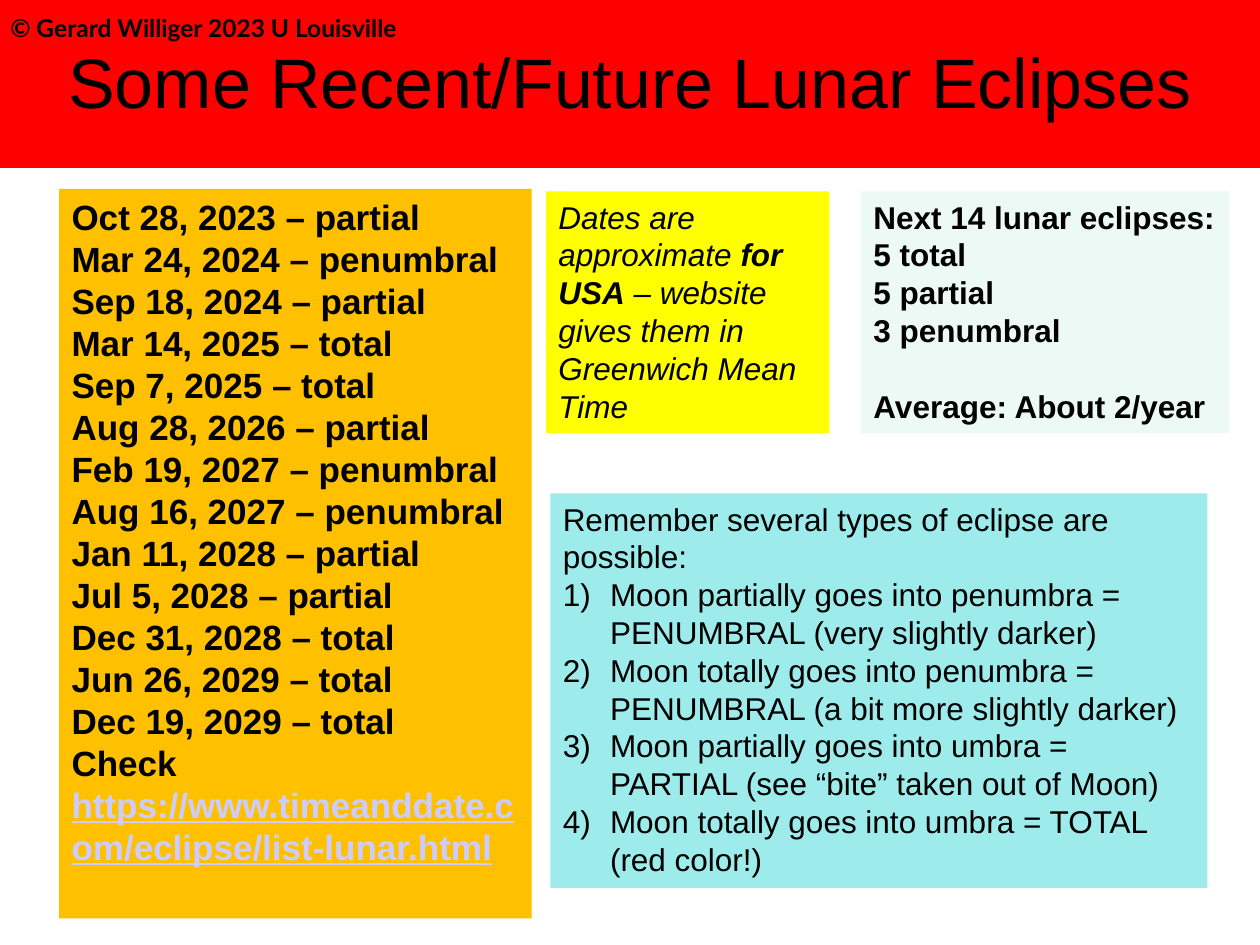
from lxml.etree import SubElement as Sub
from pptx import Presentation
from pptx.dml.color import RGBColor as Rgb
from pptx.enum.shapes import MSO_SHAPE as Shape
from pptx.enum.text import MSO_ANCHOR as Anchor, PP_ALIGN as Align
from pptx.oxml.ns import qn
from pptx.util import Pt

HUES = {"ink": "000000", "red": "FF0000", "gold": "FFC000", "yellow": "FFFF00",
        "aqua": "9DEBEB", "mint": "EDF9F4", "link": "CCCCFF"}

DATES = ["Oct 28, 2023 – partial", "Mar 24, 2024 – penumbral", "Sep 18, 2024 – partial",
         "Mar 14, 2025 – total", "Sep 7, 2025 – total", "Aug 28, 2026 – partial",
         "Feb 19, 2027 – penumbral", "Aug 16, 2027 – penumbral", "Jan 11, 2028 – partial",
         "Jul 5, 2028 – partial", "Dec 31, 2028 – total", "Jun 26, 2029 – total",
         "Dec 19, 2029 – total"]

TYPES = ["Moon partially goes into penumbra = PENUMBRAL (very slightly darker)",
         "Moon totally goes into penumbra = PENUMBRAL (a bit more slightly darker)",
         "Moon partially goes into umbra = PARTIAL (see “bite” taken out of Moon)",
         "Moon totally goes into umbra = TOTAL (red color!)"]


class Deck:
    """Hold the style and the current slide, and draw its elements."""

    def __init__(self, wide, high):
        self.show = Presentation()
        self.show.slide_width, self.show.slide_height = Pt(wide), Pt(high)
        self.slide = self.show.slides.add_slide(self.show.slide_layouts[6])
        self.face = "Arial"

    def panel(self, area, hue):
        box = self.slide.shapes.add_shape(Shape.RECTANGLE, *map(Pt, area))
        box.shadow.inherit = False
        box.fill.solid()
        box.fill.fore_color.rgb = Rgb.from_string(HUES[hue])
        box.line.fill.background()
        return self.frame(box, Anchor.TOP)

    def label(self, area, pad):
        frame = self.frame(self.slide.shapes.add_textbox(*map(Pt, area)), Anchor.BOTTOM)
        frame.margin_top = frame.margin_bottom = Pt(pad)
        return frame

    def frame(self, box, anchor):
        frame = box.text_frame
        frame.word_wrap = True
        frame.vertical_anchor = anchor
        return frame

    def line(self, frame, text, size, bold=None, face=None, align=Align.LEFT, step=False):
        para = frame.paragraphs[0]
        if para.runs:
            para = frame.add_paragraph()
        para.alignment = align
        if step:
            self.number(para)
        font = para.font
        font.name, font.size, font.bold = face or self.face, Pt(size), bold
        font.color.rgb = Rgb.from_string(HUES["ink"])
        para.add_run().text = text
        return para

    def number(self, para):
        props = para._p.get_or_add_pPr()
        props.set("marL", str(Pt(27)))
        props.set("indent", str(Pt(-27)))
        Sub(props, qn("a:buFont"), typeface="+mj-lt")
        Sub(props, qn("a:buAutoNum"), type="arabicParenR")

    def run(self, para, text):
        run = para.add_run()
        run.text = text
        return run.font


def main():
    deck = Deck(720, 540)

    title = deck.panel((0, 0, 720, 96), "red")
    title.vertical_anchor = Anchor.MIDDLE
    head = deck.line(title, "Some Recent/Future Lunar Eclipses", 40, align=Align.CENTER)
    head.line_spacing = 0.97

    dates = deck.panel((33.8, 108, 270, 416.8), "gold")
    for date in DATES:
        deck.line(dates, date, 20, True)
    check = deck.line(dates, "Check ", 20, True)
    link = deck.run(check, "https://www.timeanddate.com/eclipse/list-lunar.html")
    link.underline = True
    link.color.rgb = Rgb.from_string(HUES["link"])

    note = deck.panel((312, 109.4, 162, 138.2), "yellow")
    para = deck.line(note, "Dates are approximate ", 18)
    para.font.italic = True
    deck.run(para, "for USA").bold = True
    deck.run(para, " – website gives them in Greenwich Mean Time")

    kinds = deck.panel((314.5, 282, 375.4, 225.4), "aqua")
    deck.line(kinds, "Remember several types of eclipse are possible:", 18)
    for kind in TYPES:
        deck.line(kinds, kind, 18, step=True)

    count = deck.panel((492, 109.4, 210.2, 138.2), "mint")
    for text in ("Next 14 lunar eclipses:", "5 total", "5 partial", "3 penumbral"):
        deck.line(count, text, 18, True)
    deck.line(count, "Average: About 2/year", 18, True).space_before = Pt(21.6)

    credit = deck.label((-1.2, 0, 265.7, 31.7), 7.2)
    deck.line(credit, "© Gerard Williger 2023 U Louisville", 14, True, "Lato")

    deck.show.save("out.pptx")


if __name__ == "__main__":
    main()
